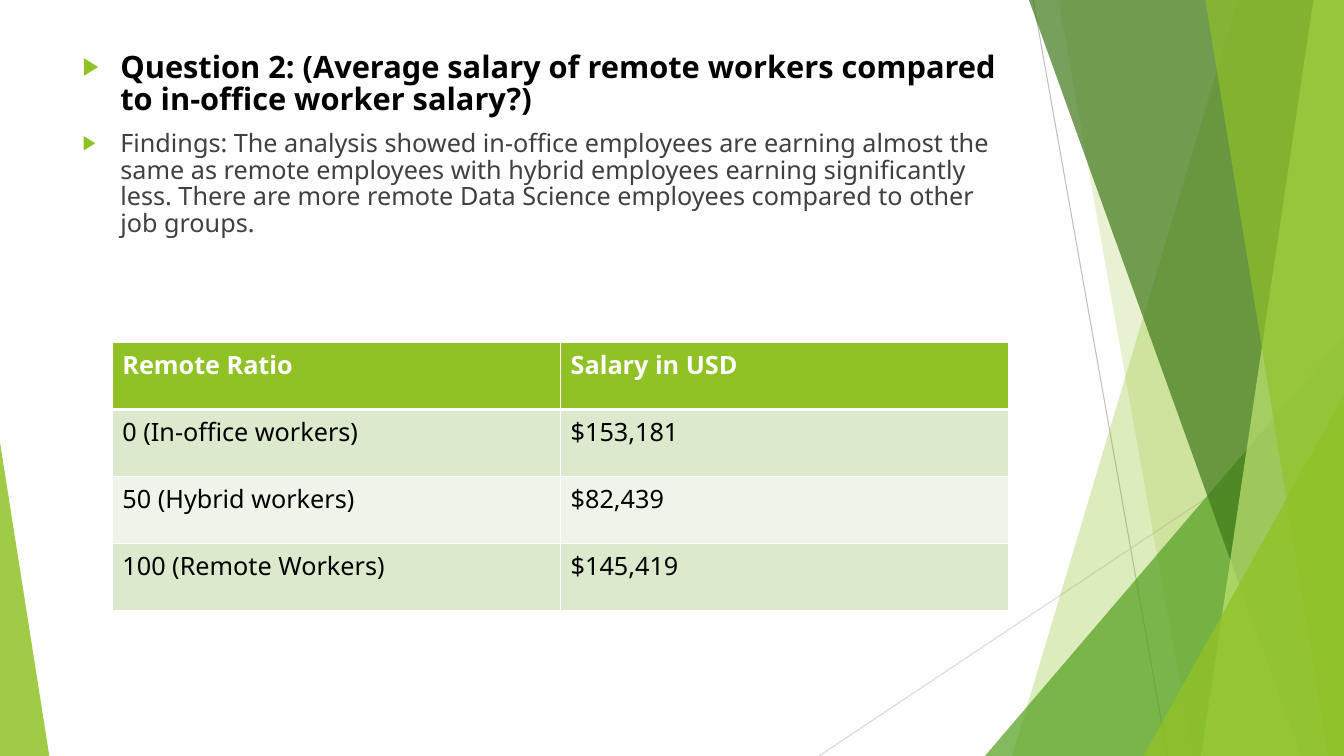
"""Build the remote versus in-office salary slide."""
from lxml import etree
from pptx import Presentation
from pptx.dml.color import RGBColor
from pptx.enum import shapes, text
from pptx.oxml import ns
from pptx.util import Pt

PX = 9525
W, H = 1280, 720
FONT = "Noto Sans"
COLORS = {
    "lime": "90C226", "green": "54A021", "forest": "3F7819", "pale": "C0E474",
    "rule": "BFBFBF", "rule_light": "D9D9D9", "white": "FFFFFF",
    "black": "000000", "grey": "404040", "band": "DBE9CD", "band_light": "EEF4E8",
}
BULLETS = [
    ("Question 2: (Average salary of remote workers compared to in-office worker salary?)",
     22, "black", True),
    ("Findings: The analysis showed in-office employees are earning almost the same as "
     "remote employees with hybrid employees earning significantly less. There are more "
     "remote Data Science employees compared to other job groups.", 18, "grey", False),
]
ROWS = [
    ("Remote Ratio", "Salary in USD"),
    ("0 (In-office workers)", "$153,181"),
    ("50 (Hybrid workers)", "$82,439"),
    ("100 (Remote Workers)", "$145,419"),
]
BODY = (69, 45, 902, 583)
TABLE_LEFT, TABLE_TOP, COL_W, ROW_H = 107, 326, 427, 64
LINES = [((984, 0), (1112, H), "rule"), ((W, 387), (780, H), "rule_light")]
BANDS = "band"
TRIANGLE = "triangle"
FACETS = [
    (BANDS, (1179, 964), "lime", 30),
    (BANDS, (1008, 1136), "lime", 20),
    (TRIANGLE, (938, 320, 342, 1), "green", 72),
    (BANDS, (980, 1239), "forest", 70),
    (BANDS, (1251, 1144), "pale", 70),
    (BANDS, (1148, 1265), "lime", 65),
    (TRIANGLE, (1089, 377, 191, 1), "lime", 80),
    (TRIANGLE, (0, 421, 47, 0), "lime", 85),
]


def rgb(name):
    return RGBColor.from_string(COLORS[name])


def px(*values):
    return [v * PX for v in values]


def add(parent, tag, **attrs):
    return etree.SubElement(parent, ns.qn(tag), attrs)


def set_font(p, size, color, bold):
    p.font.name, p.font.size, p.font.bold = FONT, Pt(size), bold
    p.font.color.rgb = rgb(color)


def add_line(s, start, end, color):
    line = s.shapes.add_connector(shapes.MSO_CONNECTOR.STRAIGHT, *px(*start, *end))
    line.line.color.rgb = rgb(color)
    line.line.width = Pt(0.75)
    add(line._element.spPr, "a:effectLst")


def add_facet(s, kind, place, color, opacity):
    if kind == TRIANGLE:
        left, top, width, apex = place
        sp = s.shapes.add_shape(shapes.MSO_SHAPE.ISOSCELES_TRIANGLE,
                                *px(left, top, width, H - top))
        sp.adjustments[0] = apex
    else:
        top_x, bottom_x = place
        outline = s.shapes.build_freeform(top_x, 0, PX)
        outline.add_line_segments([(W, 0), (W, H), (bottom_x, H)])
        sp = outline.convert_to_shape()
    sp.shadow.inherit = False
    sp.line.fill.background()
    sp.fill.solid()
    sp.fill.fore_color.rgb = rgb(color)
    clr = sp._element.spPr.find(ns.qn("a:solidFill"))[0]
    add(clr, "a:alpha", val=str(opacity * 1000))


def fill_body(s, body):
    body.left, body.top, body.width, body.height = px(*BODY)
    s.shapes._spTree.append(body._element)
    tf = body.text_frame
    tf.auto_size = text.MSO_AUTO_SIZE.NONE
    tf.vertical_anchor = text.MSO_ANCHOR.TOP
    for i, (words, size, color, bold) in enumerate(BULLETS):
        p = tf.add_paragraph() if i else tf.paragraphs[0]
        p.text = words
        p.line_spacing, p.space_before = 0.88, Pt(10)
        pPr = p._p.get_or_add_pPr()
        pPr.set("marL", str(36 * PX))
        pPr.set("indent", str(-36 * PX))
        add(add(pPr, "a:buClr"), "a:srgbClr", val=COLORS["lime"])
        add(pPr, "a:buSzPct", val="80000")
        add(pPr, "a:buChar", char="▶")
        set_font(p, size, color, bold)


def add_borders(cell, row):
    tcPr = cell._tc.get_or_add_tcPr()
    widths = {"L": 1, "R": 1, "T": 3 if row == 1 else 1, "B": 3 if row == 0 else 1}
    for side, width in widths.items():
        ln = add(tcPr, f"a:ln{side}", w=str(Pt(width)))
        add(add(ln, "a:solidFill"), "a:srgbClr", val=COLORS["white"])


def add_salaries(s):
    rows, cols = len(ROWS), len(ROWS[0])
    frame = s.shapes.add_table(rows, cols, *px(TABLE_LEFT, TABLE_TOP,
                                               cols * COL_W, rows * ROW_H))
    for r, values in enumerate(ROWS):
        fill = "lime" if r == 0 else "band" if r % 2 else "band_light"
        for c, value in enumerate(values):
            cell = frame.table.cell(r, c)
            add_borders(cell, r)
            cell.fill.solid()
            cell.fill.fore_color.rgb = rgb(fill)
            cell.text = value
            set_font(cell.text_frame.paragraphs[0], 18,
                     "black" if r else "white", r == 0)


def main():
    prs = Presentation()
    prs.slide_width, prs.slide_height = px(W, H)
    s = prs.slides.add_slide(prs.slide_layouts[1])
    title = s.shapes.title._element
    title.getparent().remove(title)
    for line in LINES:
        add_line(s, *line)
    for facet in FACETS:
        add_facet(s, *facet)
    fill_body(s, s.placeholders[1])
    add_salaries(s)
    prs.save("out.pptx")


if __name__ == "__main__":
    main()
